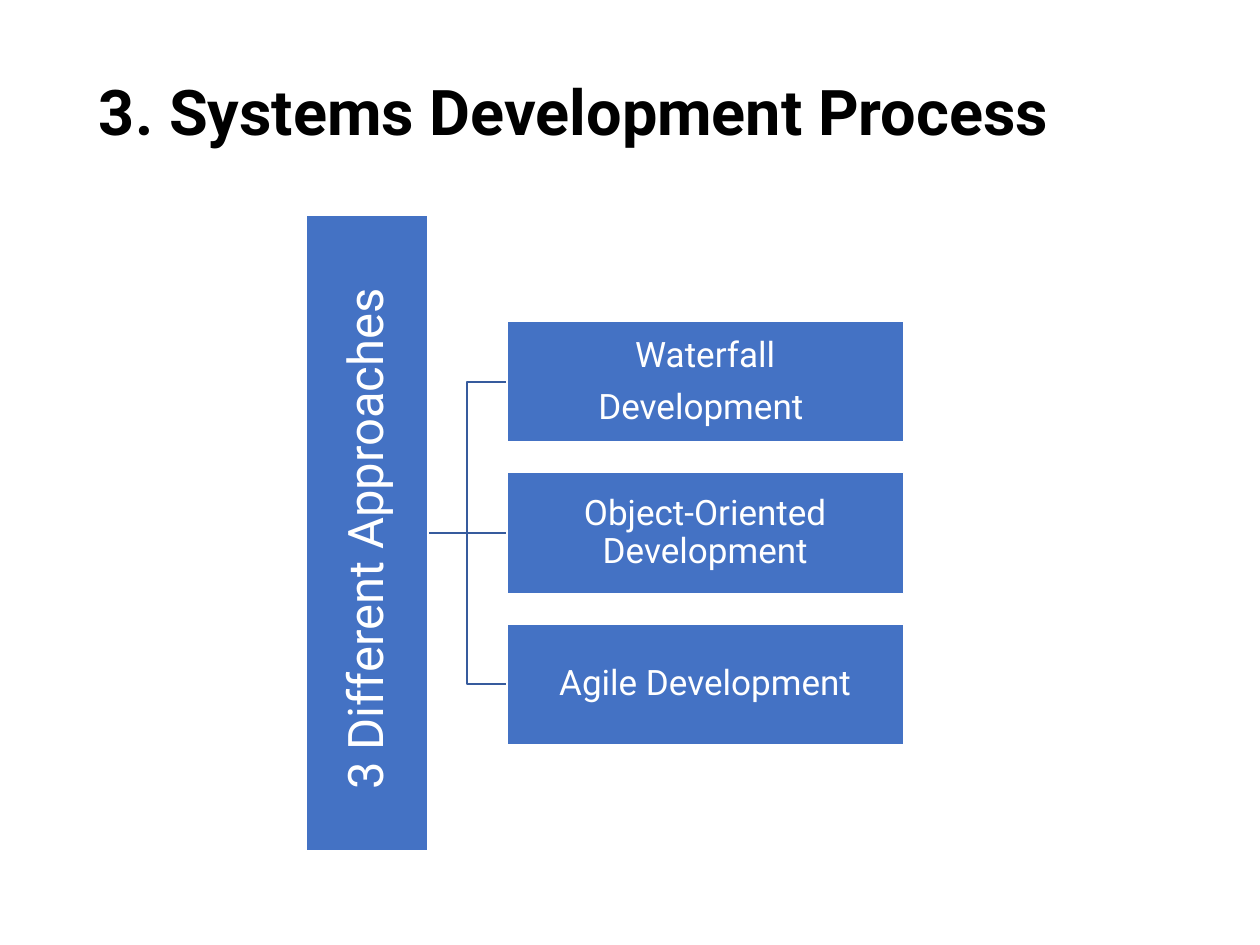
import pptx
import pptx.dml.color
import pptx.enum.shapes
import pptx.enum.text
import pptx.oxml.ns
import pptx.util
from lxml import etree

Pt = pptx.util.Pt
ALIGN = pptx.enum.text.PP_ALIGN
CONNECTOR = pptx.enum.shapes.MSO_CONNECTOR
RIGHT, LEFT = 3, 1  # connection sites of a rectangle


def color(value):
    return pptx.dml.color.RGBColor.from_string(value)


def write_text(shape, text, size, ink, bold=False, align=ALIGN.LEFT,
               font="Roboto", inset=(1, 1), gap=0):
    """Fill a shape with text, one paragraph per line."""
    frame = shape.text_frame
    frame.word_wrap = True
    frame.vertical_anchor = pptx.enum.text.MSO_ANCHOR.MIDDLE
    frame.margin_left = frame.margin_right = Pt(inset[0])
    frame.margin_top = frame.margin_bottom = Pt(inset[1])
    lines = text.split("\n")
    for index, line in enumerate(lines):
        para = frame.add_paragraph() if index else frame.paragraphs[0]
        para.alignment = align
        para.line_spacing = 0.9
        para.space_after = Pt(gap if index < len(lines) - 1 else 0)
        span = para.add_run()
        span.text = line
        span.font.name = font
        span.font.size = Pt(size)
        span.font.bold = bold
        span.font.color.rgb = color(ink)


class SlideBuilder:
    fill, branch, white, black = "4472C4", "365B9D", "FFFFFF", "000000"

    def __init__(self, page):
        self.page = page

    def title(self, text, left, top, width, height):
        box = self.page.shapes.add_textbox(Pt(left), Pt(top), Pt(width), Pt(height))
        write_text(box, text, 36, self.black, bold=True, inset=(7.2, 3.6))

    def block(self, text, left, top, width, height, size=20, vertical=False):
        box = self.page.shapes.add_shape(
            pptx.enum.shapes.MSO_SHAPE.RECTANGLE,
            Pt(left), Pt(top), Pt(width), Pt(height))
        box.shadow.inherit = False
        box.fill.solid()
        box.fill.fore_color.rgb = color(self.fill)
        box.line.color.rgb = color(self.white)
        box.line.width = Pt(1)
        write_text(box, text, size, self.white, align=ALIGN.CENTER, gap=8)
        if vertical:
            box.text_frame._txBody.bodyPr.set("vert", "vert270")
        return box

    def link(self, parent, child, kind):
        line = self.page.shapes.add_connector(kind, 0, 0, 0, 0)
        line.begin_connect(parent, RIGHT)
        line.end_connect(child, LEFT)
        line.line.color.rgb = color(self.branch)
        line.line.width = Pt(1)
        etree.SubElement(line._element.spPr, pptx.oxml.ns.qn("a:effectLst"))
        # Keep the lines behind the blocks
        self.page.shapes._spTree.insert(2, line._element)


def main():
    deck = pptx.Presentation()
    deck.slide_width, deck.slide_height = Pt(720), Pt(540)
    page = deck.slides.add_slide(deck.slide_layouts[6])
    builder = SlideBuilder(page)

    # Title
    builder.title("3. Systems Development Process", 49.5, 28.75, 621, 73.5)

    # Root block
    middle, thickness, pitch = 304.6, 69.2, 86.4
    root_height = 363.6
    root = builder.block("3 Different Approaches ", 175.2, middle - root_height / 2,
                         thickness, root_height, size=28, vertical=True)

    # Approaches, spread evenly about the middle, and their links
    approaches = ["Waterfall\nDevelopment ", "Object-Oriented Development",
                  "Agile Development"]
    for index, text in enumerate(approaches):
        offset = (index - 1) * pitch
        child = builder.block(text, 289.6, middle + offset - thickness / 2,
                              226.8, thickness)
        builder.link(root, child, CONNECTOR.ELBOW if offset else CONNECTOR.STRAIGHT)

    deck.save("out.pptx")


if __name__ == "__main__":
    main()
